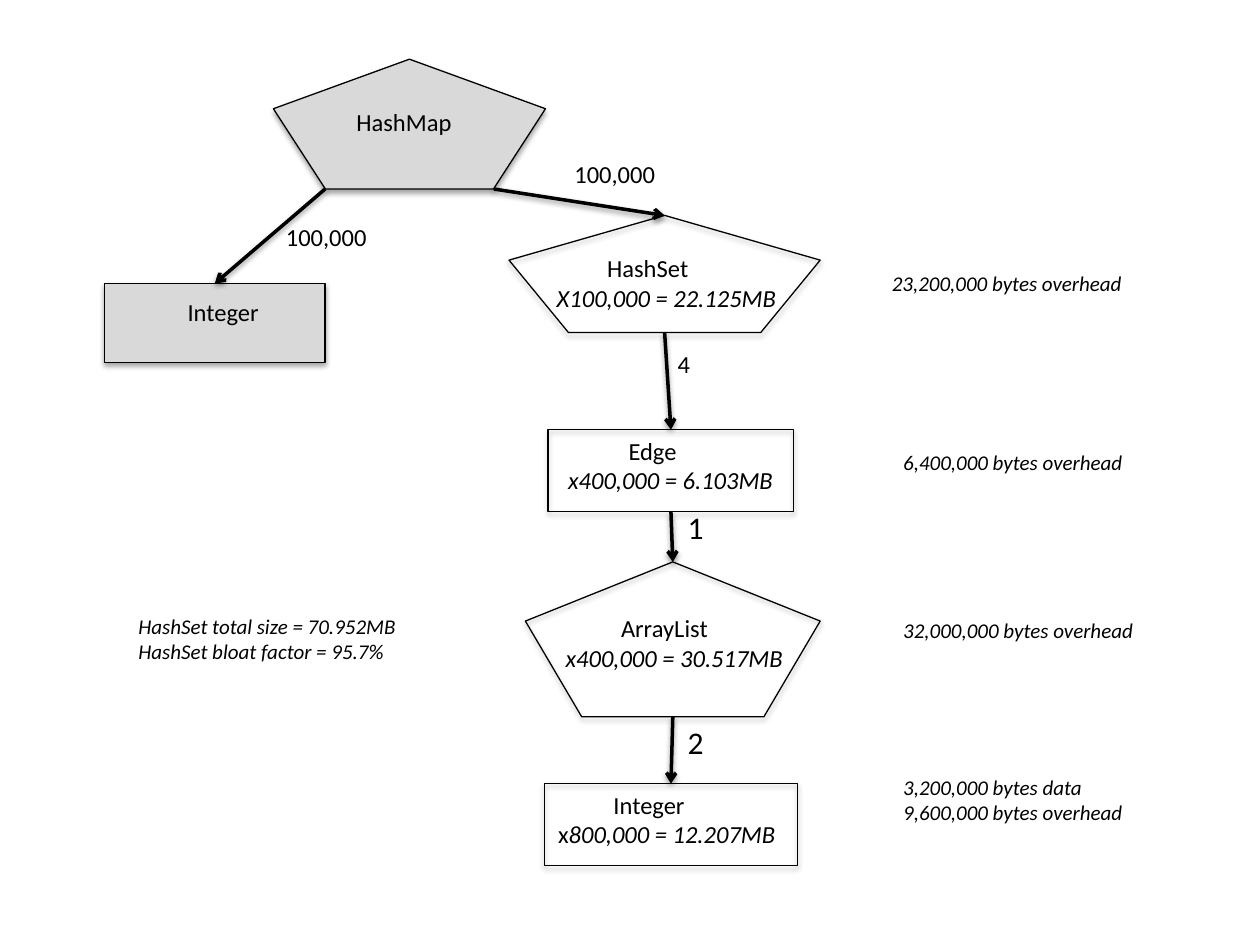
from lxml import etree
from pptx import Presentation
from pptx.dml.color import RGBColor as RGB
from pptx.enum.shapes import MSO_CONNECTOR as Conn, MSO_SHAPE as Geo
from pptx.oxml.ns import qn
from pptx.util import Inches, Pt

THEME = dict(font="Calibri", ink="000000", gray="D9D9D9",
             note=12, label=14, count=18, edge=0.75, arrow=2)
PENT, RECT = Geo.REGULAR_PENTAGON, Geo.RECTANGLE

# Nodes: key -> geometry, (left, top, width, height), fill
NODES = {
    "map": (PENT, (2.17, 0.47, 2.16, 1.03), "gray"),
    "key": (RECT, (0.83, 2.25, 1.75, 0.63), "gray"),
    "set": (PENT, (4.04, 1.71, 2.47, 0.93), None),
    "edge": (RECT, (4.35, 3.41, 1.95, 0.65), None),
    "list": (PENT, (4.17, 4.46, 2.34, 1.23), None),
    "value": (RECT, (4.32, 6.22, 2.01, 0.65), None),
}
# Links: source, target, start as a share of the source's width
LINKS = [("map", "key", 0.19), ("map", "set", 0.81), ("set", "edge", 0.5),
         ("edge", "list", 0.5), ("list", "value", 0.5)]
# Names: box, lines of (indent, [(text, italic), ...])
NAMES = [
    ((2.69, 0.8, 1.04, 0.34), [(0.04, [("HashMap", False)])]),
    ((1.39, 2.31, 0.78, 0.34), [(0, [("Integer", False)])]),
    ((4.32, 1.96, 2.01, 0.57), [(0.4, [("HashSet", False)]),
                                (0, [("X100,000 = 22.125MB", True)])]),
    ((4.41, 3.41, 1.89, 0.57), [(0.48, [("Edge", False)]),
                                (0, [("x400,000 = 6.103MB", True)])]),
    ((4.39, 4.82, 1.99, 0.57), [(0.44, [("ArrayList", False)]),
                                (0, [("x400,000 = 30.517MB", True)])]),
    ((4.29, 6.22, 2.02, 0.57), [(0.48, [("Integer", False)]),
                                (0.04, [("x", False), ("800,000 = 12.207MB", True)])]),
]
# Counts beside the arrows: box, text, size
COUNTS = [
    ((2.17, 1.71, 0.85, 0.34), "100,000", "label"),
    ((4.46, 1.21, 0.85, 0.34), "100,000", "label"),
    ((5.28, 2.72, 0.3, 0.34), "4", "label"),
    ((5.36, 3.98, 0.33, 0.4), "1", "count"),
    ((5.36, 5.69, 0.33, 0.4), "2", "count"),
]
# Memory notes: box, lines
NOTES = [
    ((6.98, 2.1, 2.08, 0.3), ["23,200,000 bytes overhead"]),
    ((7.07, 3.52, 2, 0.3), ["6,400,000 bytes overhead"]),
    ((7.07, 4.85, 2.08, 0.3), ["32,000,000 bytes overhead"]),
    ((7.07, 6.1, 2, 0.5), ["3,200,000 bytes data", "9,600,000 bytes overhead"]),
    ((1, 4.82, 2.37, 0.5), ["HashSet total size = 70.952MB",
                            "HashSet bloat factor = 95.7%"]),
]


def color(name):
    return RGB.from_string(THEME[name])


def shade(shape, dist, alpha):
    """Drop a soft shadow straight down."""
    fx = etree.SubElement(shape._element.spPr, qn("a:effectLst"))
    drop = etree.SubElement(fx, qn("a:outerShdw"), blurRad=str(Pt(3.1)),
                            dist=str(Pt(dist)), dir="5400000", rotWithShape="0")
    tint = etree.SubElement(drop, qn("a:srgbClr"), val=THEME["ink"])
    etree.SubElement(tint, qn("a:alpha"), val=str(alpha * 1000))


def add_node(slide, geo, box, fill):
    node = slide.shapes.add_shape(geo, *map(Inches, box))
    if fill:
        node.fill.solid()
        node.fill.fore_color.rgb = color(fill)
    else:
        node.fill.background()
    node.line.color.rgb = color("ink")
    node.line.width = Pt(THEME["edge"])
    shade(node, 1.8, 35)


def add_link(slide, src, dst, share):
    x, y, w, h = NODES[src][1]
    left, top, width, _ = NODES[dst][1]
    ends = x + w * share, y + h, left + width / 2, top
    link = slide.shapes.add_connector(Conn.STRAIGHT, *map(Inches, ends))
    link.line.color.rgb = color("ink")
    link.line.width = Pt(THEME["arrow"])
    etree.SubElement(link.line._get_or_add_ln(), qn("a:tailEnd"), type="arrow")
    shade(link, 1.6, 38)


def add_text(slide, box, lines, size="label"):
    frame = slide.shapes.add_textbox(*map(Inches, box)).text_frame
    frame.word_wrap = False
    for i, (indent, parts) in enumerate(lines):
        para = frame.add_paragraph() if i else frame.paragraphs[0]
        if indent:
            props = para._p.get_or_add_pPr()
            props.set("marL", str(Inches(indent)))
            props.set("indent", "0")
        for text, slant in parts:
            run = para.add_run()
            run.text = text
            run.font.name = THEME["font"]
            run.font.size = Pt(THEME[size])
            run.font.italic = slant
            run.font.color.rgb = color("ink")


def main():
    deck = Presentation()
    deck.slide_width, deck.slide_height = Inches(10), Inches(7.5)
    slide = deck.slides.add_slide(deck.slide_layouts[6])
    # Graph
    for node in NODES.values():
        add_node(slide, *node)
    for link in LINKS:
        add_link(slide, *link)
    # Text
    for box, lines in NAMES:
        add_text(slide, box, lines)
    for box, text, size in COUNTS:
        add_text(slide, box, [(0, [(text, False)])], size=size)
    for box, lines in NOTES:
        add_text(slide, box, [(0, [(text, True)]) for text in lines], size="note")
    deck.save("out.pptx")


if __name__ == "__main__":
    main()
